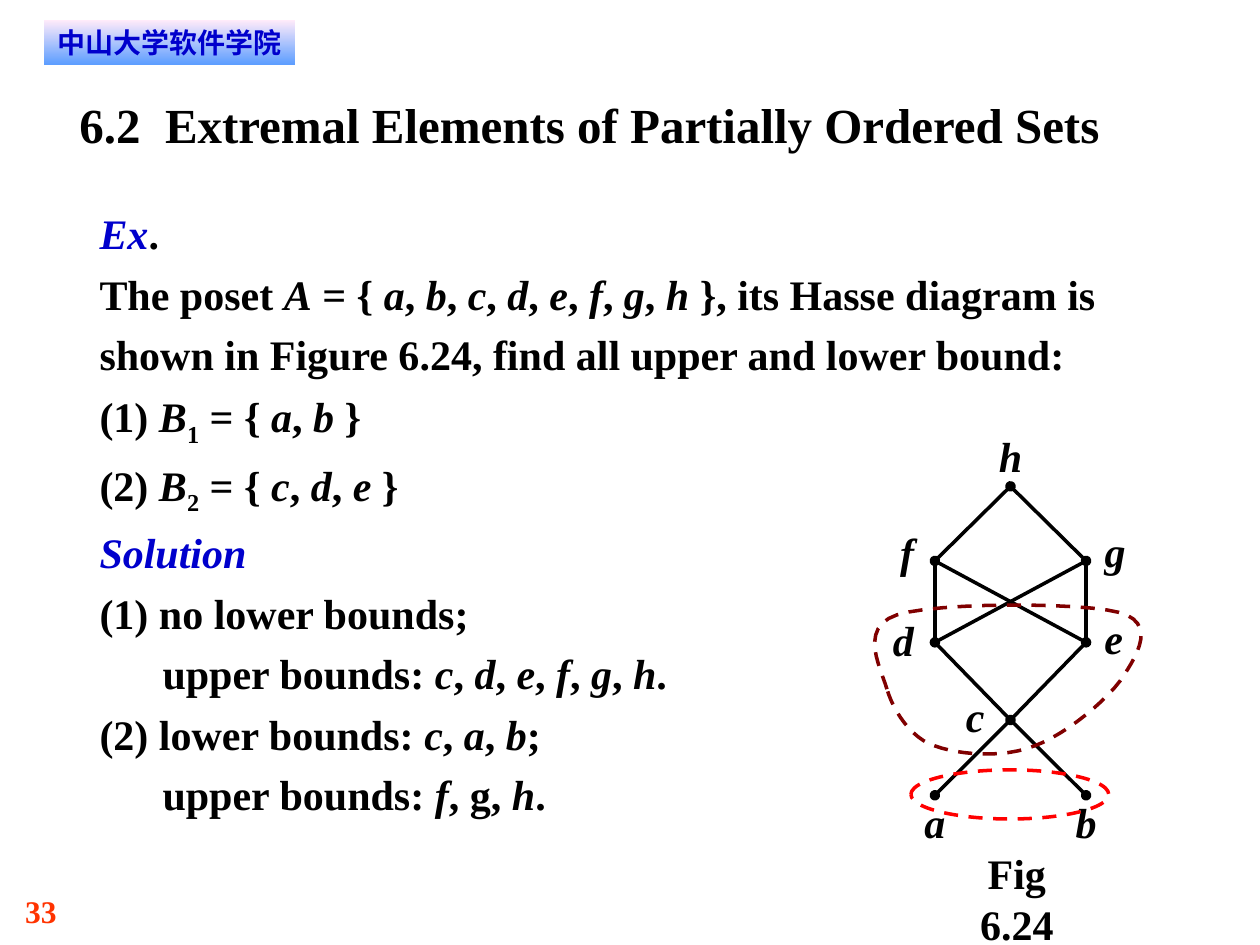
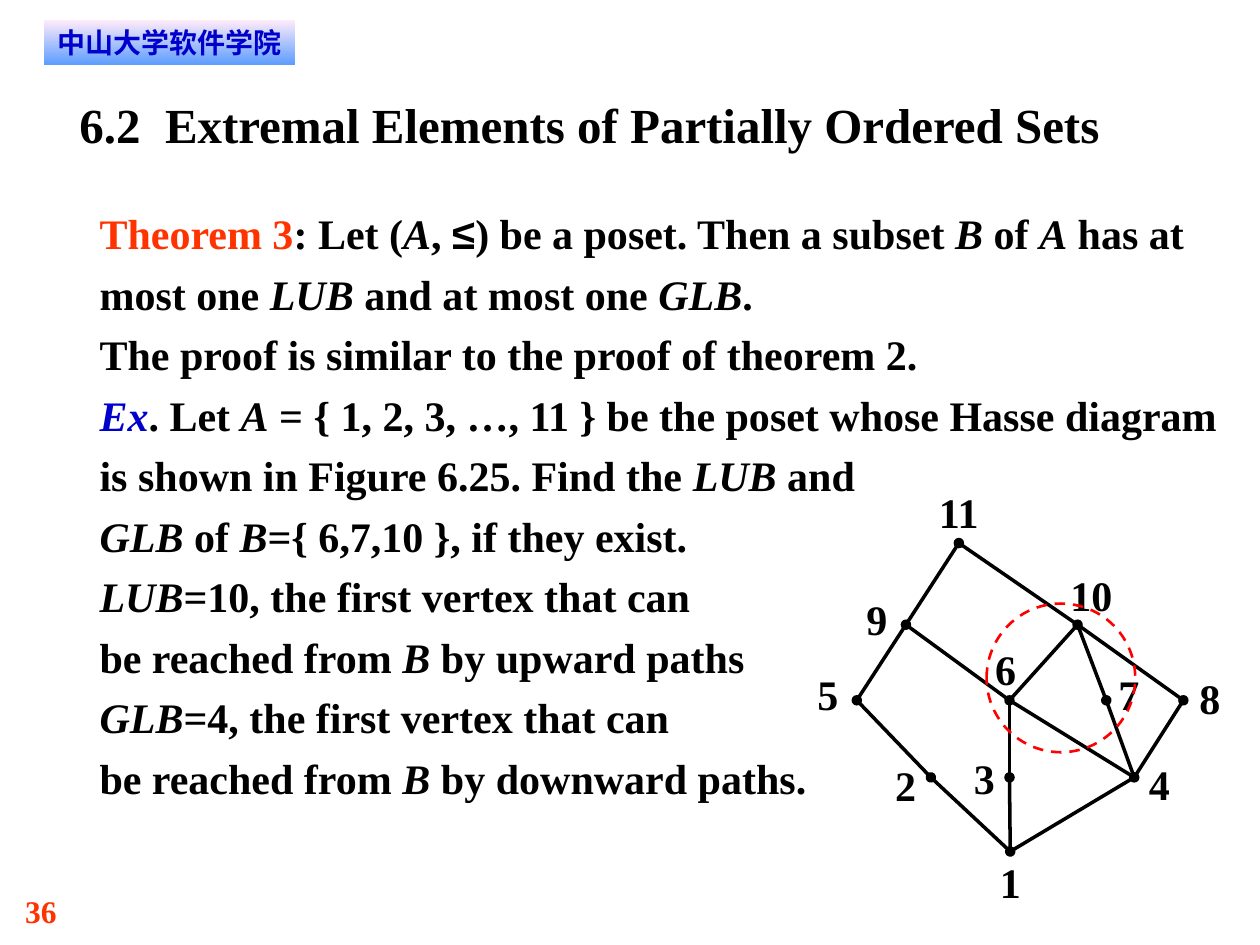
import pptx
import pptx.util
import pptx.dml.color
import pptx.enum.dml
import pptx.enum.shapes
import pptx.enum.text
import pptx.oxml

RGB = pptx.dml.color.RGBColor
BLACK = RGB(0, 0, 0)
BLUE = RGB(0, 0, 0xCC)
ORANGE = RGB(0xFF, 0x33, 0)
RED = RGB(0xFF, 0, 0)
MAROON = RGB(0x80, 0, 0)
PINK = RGB(0xFF, 0xEB, 0xFA)
SKY = RGB(0x5E, 0x9E, 0xFF)

SERIF = "Times New Roman"
SANS = "DejaVu Sans"
CENTER = pptx.enum.text.PP_ALIGN.CENTER
DASH = pptx.enum.dml.MSO_LINE.DASH
SHAPE = pptx.enum.shapes.MSO_SHAPE
STRAIGHT = pptx.enum.shapes.MSO_CONNECTOR.STRAIGHT

HEAD = "6.2\tExtremal Elements of Partially Ordered Sets"
SCHOOL = "中山大学软件学院"
# Marks in text: * italic, ~ subscript, # blue, @ orange, ` Arial
MARKS = "*~#@`"

BOUNDS = [
    "#*Ex*#.",
    "The poset *A* = { *a*, *b*, *c*, *d*, *e*, *f*, *g*, *h* }, its Hasse "
    "diagram is shown in Figure 6.24, find all upper and lower bound:",
    "(1) *B*~1~ = { *a*, *b* }",
    "(2) *B*~2~ = { *c*, *d*, *e* }",
    "#*Solution*#",
    "(1) no lower bounds;",
    "\tupper bounds: *c*, *d*, *e*, *f*, *g*, *h*.",
    "(2) lower bounds: *c*, *a*, *b*;",
    "\tupper bounds: *f*, g, *h*.",
]
THEOREM = [
    "@Theorem 3@: Let (*A*, `≤`) be a poset. Then a subset *B* of *A* has at "
    "most one *LUB* and at most one *GLB*.",
    "The proof is similar to the proof of theorem 2.",
    "#*Ex*#. Let *A* = { 1, 2, 3, …, 11 } be the poset whose Hasse diagram "
    "is shown in Figure 6.25. Find the *LUB* and\n"
    "*GLB* of *B*={ 6,7,10 }, if they exist.",
    "*LUB*=10, the first vertex that can\nbe reached from *B* by upward paths",
    "*GLB*=4, the first vertex that can\nbe reached from *B* by downward paths.",
]

# Node: column, row, then the shift of its label in slide cells
LETTERS = {
    "h": (1, 0, 0, -2.4),
    "f": (0, 0.97, -2.2, -0.7), "g": (2, 0.97, 2.3, -0.8),
    "d": (0, 2.03, -2.5, -0.2), "e": (2, 2.03, 2.2, -0.4),
    "c": (1, 3.04, -2.8, -0.3),
    "a": (0, 4.02, 0, 2.1), "b": (2, 4.02, 0, 2.1),
}
LETTER_EDGES = "h-f h-g f-d f-e g-d g-e d-c e-c c-a c-b"
NUMBERS = {
    "11": (1.35, 0, 0, -2.5),
    "9": (0.65, 1.08, -2.3, -0.5), "10": (2.92, 1.08, 1.1, -2.4),
    "5": (0, 2.08, -2.3, -0.5), "6": (2.02, 2.08, -0.3, -2.5),
    "7": (3.3, 2.08, 1.8, -0.5), "8": (4.32, 2.08, 2.1, -0.2),
    "2": (0.98, 3.1, -2, 0.6), "3": (2.02, 3.1, -2, 0),
    "4": (3.67, 3.1, 2, 0.5), "1": (2.03, 4.08, 0, 2.4),
}
NUMBER_EDGES = ("11-9 11-10 9-5 9-6 10-6 10-7 10-8 6-3 6-4 7-4 8-4 "
                "5-2 2-1 3-1 4-1")

# Bezier points of the loop round c, d, e, in slide cells from its box
LOOP = [(2.3, 6.9), (1.8, 5.2), (0, 2), (3.1, 1),
        (6.2, 0), (17.7, 0), (20.7, 0.8),
        (23.7, 1.6), (22.2, 4.1), (21.1, 5.8),
        (20, 7.6), (16.5, 10.5), (14, 11.4),
        (11.5, 12.4), (8, 12.1), (6.1, 11.4),
        (4.2, 10.8), (2.8, 8.6), (2.3, 6.9)]


def cells(*counts):
    """Lengths on a slide grid of 100 columns by 75 rows."""
    return [pptx.util.Inches(n / 10) for n in counts]


def style(para, size, color=BLACK, name=SERIF, align=None):
    para.alignment = align
    font = para.font
    font.size, font.name, font.bold = pptx.util.Pt(size), name, True
    font.color.rgb = color
    return font


def bare(frame, wrap=True):
    frame.margin_left = frame.margin_right = 0
    frame.margin_top = frame.margin_bottom = 0
    frame.vertical_anchor = pptx.enum.text.MSO_ANCHOR.TOP
    frame.auto_size = pptx.enum.text.MSO_AUTO_SIZE.NONE
    frame.word_wrap = wrap
    return frame


def label(shapes, box, text, size=24, color=BLACK, align=None, wrap=True):
    frame = bare(shapes.add_textbox(*cells(*box)).text_frame, wrap)
    para = frame.paragraphs[0]
    para.text = text
    return style(para, size, color, align=align)


def add_piece(para, text, marks):
    run = para.add_run()
    run.text = text
    font = run.font
    if "*" in marks:
        font.italic = True
    if "~" in marks:
        font._element.set("baseline", "-25000")
    if "#" in marks:
        font.color.rgb = BLUE
    if "@" in marks:
        font.color.rgb = ORANGE
    if "`" in marks:
        font.name = "Arial"


def fill_para(para, text):
    """Turn marked text into runs and line breaks."""
    marks, piece = set(), ""
    for char in text + "\0":
        if char not in MARKS + "\n\0":
            piece += char
            continue
        if piece:
            add_piece(para, piece, marks)
            piece = ""
        if char == "\n":
            para.add_line_break()
        else:
            marks ^= {char}


def body(slide, box, lines):
    frame = bare(slide.shapes.add_textbox(*cells(*box)).text_frame)
    for i, line in enumerate(lines):
        para = frame.add_paragraph() if i else frame.paragraphs[0]
        para.line_spacing = 1.2
        style(para, 24)
        fill_para(para, line)


def banner(slide, box):
    band = slide.shapes.add_shape(SHAPE.RECTANGLE, *cells(*box))
    band.shadow.inherit = False
    band.line.fill.background()
    band.fill.gradient()
    band.fill.gradient_angle = 270
    for stop, color in zip(band.fill.gradient_stops, (PINK, SKY)):
        stop.color.rgb = color
    frame = band.text_frame
    frame.margin_left, frame.margin_right = cells(0.8, 0.8)
    frame.margin_top, frame.margin_bottom = cells(0.4, 0.4)
    frame.text = SCHOOL
    style(frame.paragraphs[0], 16, BLUE, SANS, CENTER)


def heading(slide, box):
    title = slide.shapes.title
    title.left, title.top, title.width, title.height = cells(*box)
    para = bare(title.text_frame).paragraphs[0]
    para.text = HEAD
    props = para._p.get_or_add_pPr()
    tabs = pptx.oxml.parse_xml(
        '<a:tabLst xmlns:a="http://schemas.openxmlformats.org/drawingml/2006/main">'
        f'<a:tab pos="{cells(6.8)[0]}" algn="l"/></a:tabLst>')
    props.append(tabs)
    style(para, 28, align=pptx.enum.text.PP_ALIGN.LEFT)


def new_slide(deck, number):
    slide = deck.slides.add_slide(deck.slide_layouts[5])
    label(slide.shapes, (2, 70.8, 7.5, 3), number, 18, ORANGE)
    banner(slide, (3.5, 1.6, 19.9, 3.5))
    heading(slide, (6.3, 7.5, 87.5, 4.7))
    return slide


def edge(shapes, start, end, dots):
    """Line with a dot at each end named in dots (headEnd, tailEnd)."""
    link = shapes.add_connector(STRAIGHT, *cells(*start, *end))
    link.line.color.rgb = BLACK
    link.line.width = pptx.util.Pt(2)
    qn = pptx.oxml.ns.qn
    props = link._element.spPr
    ln = props.find(qn("a:ln"))
    for dot in dots:
        ln.append(ln.makeelement(qn("a:" + dot), {"type": "oval"}))
    props.append(props.makeelement(qn("a:effectLst"), {}))


def hasse(slide, box, nodes, edges, italic=False):
    """Hasse diagram; box is left, top, column width and row height."""
    left, top, wide, high = box
    spots = {name: (left + col * wide, top + row * high)
             for name, (col, row, _, _) in nodes.items()}
    shapes = slide.shapes.add_group_shape().shapes
    dotted = set()
    for pair in edges.split():
        ends = pair.split("-")
        dots = [kind for kind, name in zip(("headEnd", "tailEnd"), ends)
                if name not in dotted]
        dotted.update(ends)
        edge(shapes, spots[ends[0]], spots[ends[1]], dots)
    for name, (_, _, right, down) in nodes.items():
        x, y = spots[name]
        place = (x + right - 1.7, y + down - 2, 3.4, 4)
        label(shapes, place, name, align=CENTER, wrap=False).italic = italic


def outline(shape, color, width):
    shape.shadow.inherit = False
    shape.fill.background()
    shape.line.color.rgb = color
    shape.line.width = pptx.util.Pt(width)
    shape.line.dash_style = DASH


def ring(slide, box, width):
    outline(slide.shapes.add_shape(SHAPE.OVAL, *cells(*box)), RED, width)


def curve(knots, steps=12):
    """Points along joined cubic Bezier pieces."""
    for i in range(0, len(knots) - 1, 3):
        for step in range(1, steps + 1):
            t = step / steps
            rates = ((1 - t) ** 3, 3 * t * (1 - t) ** 2,
                     3 * t * t * (1 - t), t ** 3)
            yield cells(*(sum(r * knot[axis]
                              for r, knot in zip(rates, knots[i:i + 4]))
                          for axis in (0, 1)))


def loop(slide, spot):
    pen = slide.shapes.build_freeform(*cells(*LOOP[0]))
    pen.add_line_segments(list(curve(LOOP)), close=True)
    outline(pen.convert_to_shape(*cells(*spot)), MAROON, 2)


def bounds_slide(deck):
    slide = new_slide(deck, "33")
    body(slide, (7.9, 15.7, 87.6, 49.3), BOUNDS)
    hasse(slide, (74.2, 38.6, 6, 6.1), LETTERS, LETTER_EDGES, italic=True)
    label(slide.shapes, (75.2, 67.3, 11, 8), "Fig 6.24", align=CENTER)
    ring(slide, (72.3, 61.1, 15.7, 3.9), 2)
    loop(slide, (68.1, 47.8))


def theorem_slide(deck):
    slide = new_slide(deck, "36")
    body(slide, (7.9, 15.7, 89.9, 48), THEOREM)
    hasse(slide, (68, 43.1, 6, 6), NUMBERS, NUMBER_EDGES)
    ring(slide, (78.3, 47.9, 11.8, 11.8), 1.5)


def main():
    deck = pptx.Presentation()
    deck.slide_width, deck.slide_height = cells(100, 75)
    bounds_slide(deck)
    theorem_slide(deck)
    deck.save("out.pptx")


if __name__ == "__main__":
    main()
